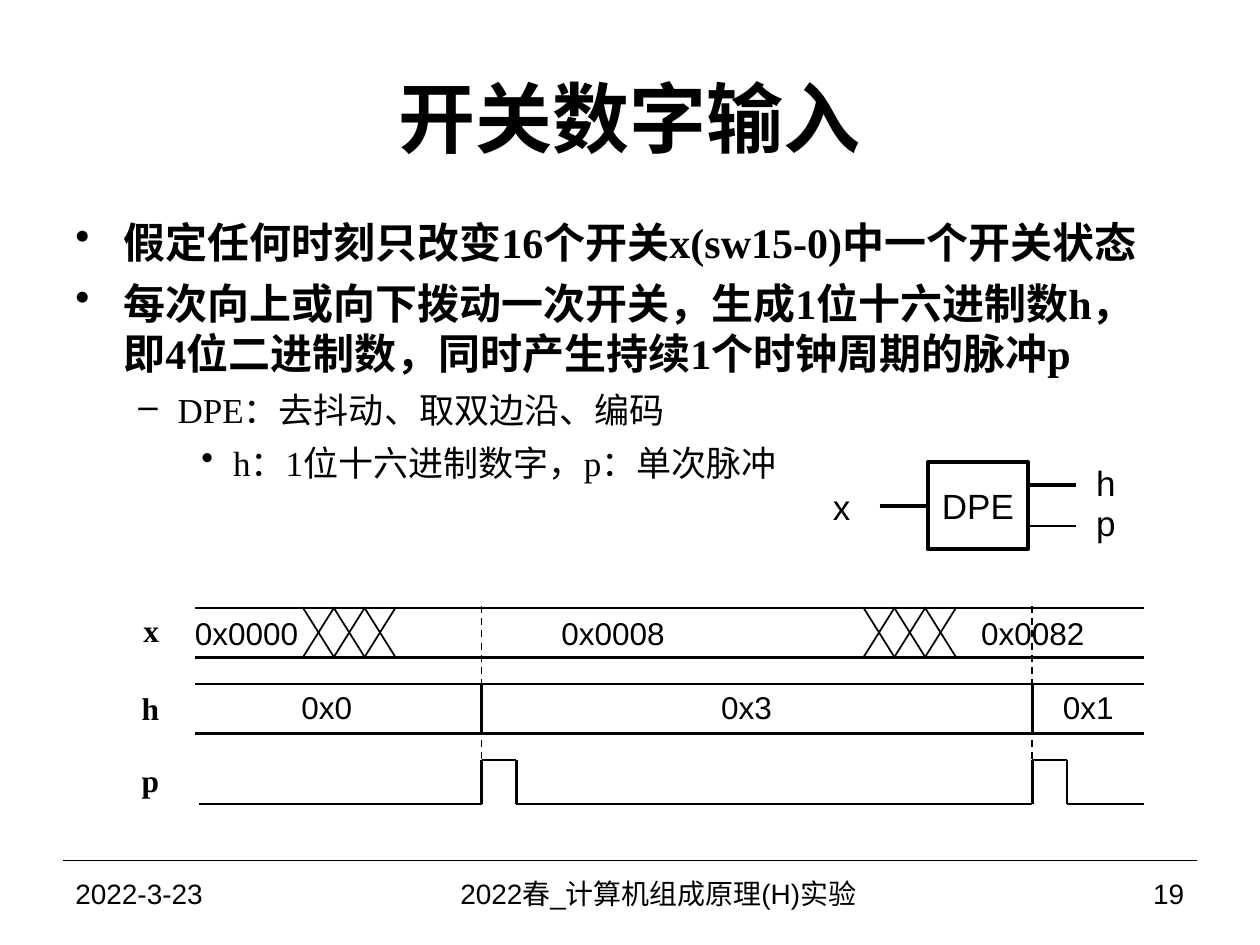
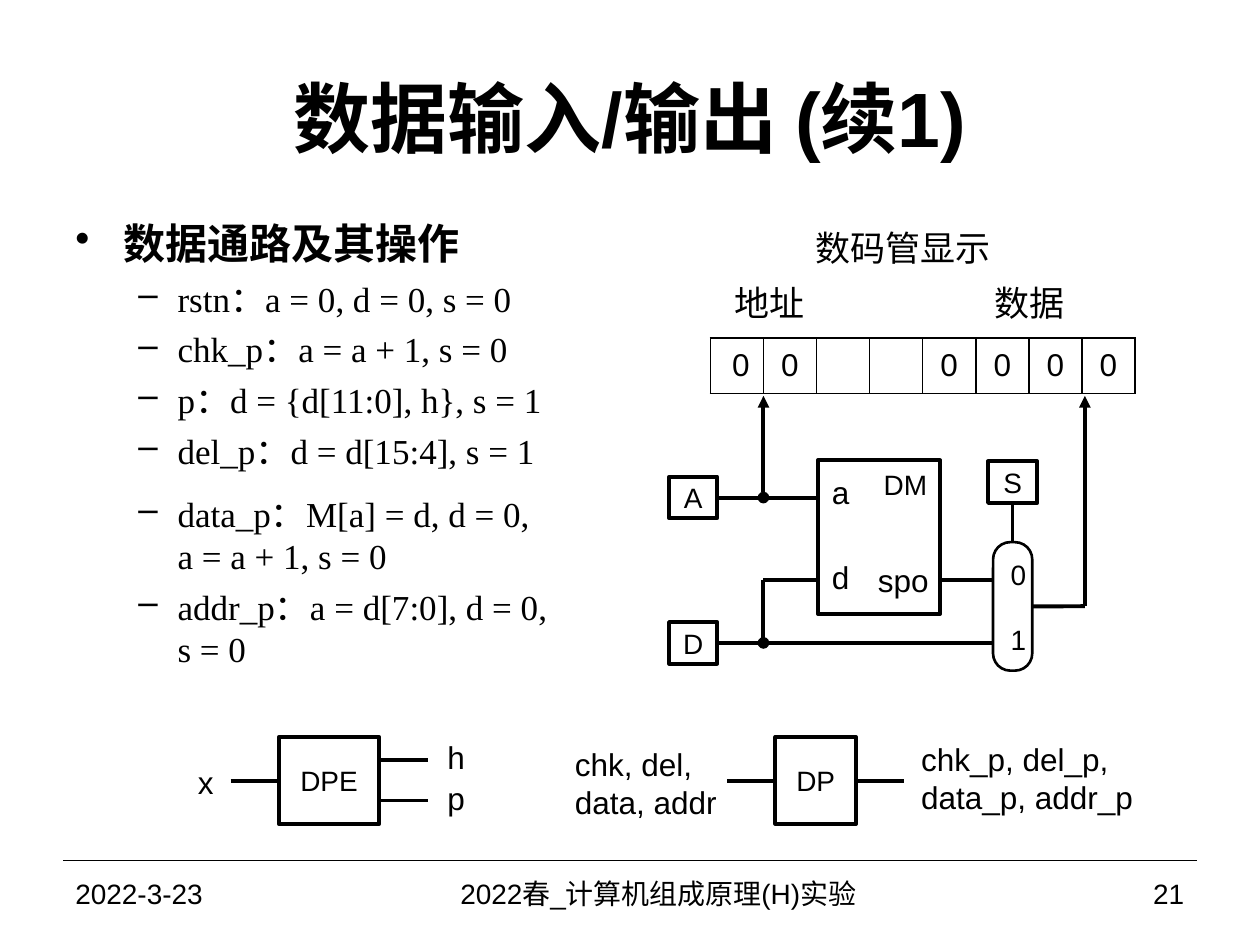
from dataclasses import dataclass
from itertools import pairwise

from lxml.etree import SubElement
from pptx import Presentation
from pptx.dml.color import RGBColor
from pptx.enum.dml import MSO_LINE
from pptx.enum.shapes import MSO_CONNECTOR, MSO_SHAPE
from pptx.enum.text import MSO_ANCHOR, PP_ALIGN
from pptx.oxml.ns import qn
from pptx.util import Cm, Pt

BLACK = RGBColor(0, 0, 0)
WHITE = RGBColor(255, 255, 255)
SANS = "Arial"
SERIF = "Times New Roman"
TOP, LEFT, BOTTOM, RIGHT = range(4)
THICK, MEDIUM, THIN, HAIRLINE = 2.25, 1.5, 1, 0.75
TITLE_ONLY = 5
DATE = "2022-3-23"
COURSE = "2022春_计算机组成原理(H)实验"
BULLETS = [("•", 0.97, 0.97, 24), ("–", 2.06, 0.79, 20), ("•", 3.18, 0.64, 20)]


def add_run(paragraph, text, size, font=SANS, bold=False):
    run = paragraph.add_run()
    run.text = text
    run.font.size = Pt(size)
    run.font.name = font
    run.font.bold = bold
    run.font.color.rgb = BLACK


def set_margins(frame, horizontal=0, vertical=0):
    frame.margin_left = frame.margin_right = Cm(horizontal)
    frame.margin_top = frame.margin_bottom = Cm(vertical)


@dataclass
class Region:
    slide: object
    left: float
    top: float

    def position(self, x, y):
        return Cm(self.left + x), Cm(self.top + y)

    def line(self, start, end, weight=THICK, dash=None, head=None, tail=None,
             source=None, target=None):
        connector = self.slide.shapes.add_connector(
            MSO_CONNECTOR.STRAIGHT, *self.position(*start), *self.position(*end))
        connector.line.color.rgb = BLACK
        connector.line.width = Pt(weight)
        if dash:
            connector.line.dash_style = dash
        properties = connector._element.spPr
        outline = properties.find(qn("a:ln"))
        for tag, kind in (("a:headEnd", head), ("a:tailEnd", tail)):
            if kind:
                SubElement(outline, qn(tag)).set("type", kind)
        SubElement(properties, qn("a:effectLst"))
        if source:
            connector.begin_connect(*source)
        if target:
            connector.end_connect(*target)

    def polyline(self, points, weight=THICK):
        for start, end in pairwise(points):
            self.line(start, end, weight)

    def label(self, text, x, middle, size, width=2.0, align=PP_ALIGN.LEFT,
              font=SANS, bold=False, height=1.0, wrap=False):
        shift = {PP_ALIGN.LEFT: 0, PP_ALIGN.CENTER: 0.5, PP_ALIGN.RIGHT: 1}[align]
        box = self.slide.shapes.add_textbox(
            *self.position(x - shift * width, middle - height / 2), Cm(width), Cm(height))
        frame = box.text_frame
        frame.word_wrap = True
        set_margins(frame)
        frame.vertical_anchor = MSO_ANCHOR.MIDDLE
        frame.paragraphs[0].alignment = align
        add_run(frame.paragraphs[0], text, size, font, bold)

    def block(self, x, y, width, height, text="", size=16, kind=MSO_SHAPE.RECTANGLE,
              weight=THICK):
        shape = self.slide.shapes.add_shape(
            kind, *self.position(x, y), Cm(width), Cm(height))
        shape.shadow.inherit = False
        shape.fill.solid()
        shape.fill.fore_color.rgb = WHITE
        shape.line.color.rgb = BLACK
        shape.line.width = Pt(weight)
        frame = shape.text_frame
        set_margins(frame)
        frame.vertical_anchor = MSO_ANCHOR.MIDDLE
        if text:
            frame.paragraphs[0].alignment = PP_ALIGN.CENTER
            add_run(frame.paragraphs[0], text, size)
        return shape


def add_title(slide, text):
    title = slide.shapes.title
    title.left, title.top, title.width, title.height = Cm(1.27), Cm(0.76), Cm(22.86), Cm(3.18)
    frame = title.text_frame
    frame.vertical_anchor = MSO_ANCHOR.MIDDLE
    frame.paragraphs[0].alignment = PP_ALIGN.CENTER
    add_run(frame.paragraphs[0], text, 44, bold=True)


def add_footer(slide, number):
    footer = Region(slide, 1.27, 17.35)
    footer.line((0, 0), (22.86, 0), HAIRLINE)
    middle = 0.66
    footer.label(DATE, 0.25, middle, 16, width=5.4)
    footer.label(COURSE, 12, middle, 16, width=11.8, align=PP_ALIGN.CENTER)
    footer.label(str(number), 22.6, middle, 16, width=3.9, align=PP_ALIGN.RIGHT)


def new_slide(presentation, title, number):
    slide = presentation.slides.add_slide(presentation.slide_layouts[TITLE_ONLY])
    add_title(slide, title)
    add_footer(slide, number)
    return slide


def add_bullets(slide, left, top, width, height, items):
    box = slide.shapes.add_textbox(Cm(left), Cm(top), Cm(width), Cm(height))
    frame = box.text_frame
    frame.word_wrap = True
    for index, (level, text, space) in enumerate(items):
        paragraph = frame.add_paragraph() if index else frame.paragraphs[0]
        symbol, margin, hanging, size = BULLETS[level]
        paragraph.level = level
        paragraph.space_before = Pt(space)
        properties = paragraph._p.get_or_add_pPr()
        properties.set("marL", str(Cm(margin)))
        properties.set("indent", str(-Cm(hanging)))
        SubElement(properties, qn("a:buChar")).set("char", symbol)
        add_run(paragraph, text, size, SERIF, bold=level == 0)


def add_edge_detector(slide, left, top, label_size, block_size, input_offset):
    region = Region(slide, left, top)
    wire, width, height = 0.97, 2.03, 1.75
    block = region.block(wire, 0, width, height, "DPE", block_size)
    region.line((0, height / 2), (wire, height / 2), target=(block, LEFT))
    region.label("x", -input_offset, 0.9, label_size, width=0.6)
    for name, y, weight in (("h", 0.46, THICK), ("p", 1.28, MEDIUM)):
        region.line((wire + width, y), (2 * wire + width, y), weight)
        region.label(name, 4.37, y - 0.06, label_size, width=0.6)


def add_pulse_block(slide, left, top):
    region = Region(slide, left, top)
    wire, width, height = 0.97, 1.63, 1.75
    middle, right = height / 2, wire + width
    block = region.block(wire, 0, width, height, "DP")
    region.line((0, middle), (wire, middle), target=(block, LEFT))
    region.line((right, middle), (right + wire, middle), source=(block, RIGHT))
    region.label("chk, del, data, addr", -3.07, 0.93, 18, width=3, height=1.55)
    region.label("chk_p, del_p, data_p, addr_p", 3.91, 0.83, 18, width=4.8, height=1.55)


def add_waveform(slide, left, top):
    region = Region(slide, left, top)
    width, pulse = 19.13, 0.7
    edges = (5.77, 16.87)
    high, low = 3.1, 3.99
    for y in (0.04, 1.04, 1.57, 2.57):
        region.line((0, y), (width, y), MEDIUM)
    trace = [(0.08, low)]
    for edge in edges:
        region.line((edge, 0), (edge, 3.91), THIN, MSO_LINE.DASH)
        region.line((edge, 1.57), (edge, 2.57), MEDIUM)
        trace += [(edge, low), (edge, high), (edge + pulse, high), (edge + pulse, low)]
    region.polyline(trace + [(width, low)], MEDIUM)
    for bounce in (2.16, 13.46):
        for step in range(3):
            x = bounce + 0.62 * step
            region.line((x, 0.02), (x + 0.64, 1.04), THIN)
            region.line((x, 1.04), (x + 0.64, 0.02), THIN)
    for signal, middle in (("x", 0.48), ("h", 2.06), ("p", 3.51)):
        region.label(signal, -0.73, middle, 18, width=1, align=PP_ALIGN.RIGHT,
                     font=SERIF, bold=True)
    rows = ((0.53, (("0x0000", 1.03), ("0x0008", 8.42), ("0x0082", 16.88))),
            (2.03, (("0x0", 2.65), ("0x3", 11.11), ("0x1", 18))))
    for middle, values in rows:
        for value, center in values:
            region.label(value, center, middle, 18, width=2.4, align=PP_ALIGN.CENTER)


def set_borders(cell):
    properties = cell._tc.get_or_add_tcPr()
    for index, side in enumerate(("lnL", "lnR", "lnT", "lnB")):
        border = properties.makeelement(qn(f"a:{side}"), {"w": str(Pt(THIN))})
        fill = SubElement(border, qn("a:solidFill"))
        SubElement(fill, qn("a:srgbClr")).set("val", str(BLACK))
        properties.insert(index, border)


def add_display(slide, left, top, digits):
    region = Region(slide, left, top)
    for caption, center, middle in (("数码管显示", 3.91, 0.56), ("地址", 1.21, 1.68),
                                    ("数据", 6.45, 1.68)):
        region.label(caption, center, middle, 20, width=4.5, align=PP_ALIGN.CENTER, font=SERIF)
    cell_width, height = 1.07, 1.12
    count = len(digits)
    table = slide.shapes.add_table(1, count, *region.position(0.02, 2.39),
                                   Cm(count * cell_width), Cm(height)).table
    table.first_row = table.horz_banding = False
    table.rows[0].height = Cm(height)
    for index, digit in enumerate(digits):
        table.columns[index].width = Cm(cell_width)
        cell = table.cell(0, index)
        set_margins(cell)
        cell.vertical_anchor = MSO_ANCHOR.MIDDLE
        cell.fill.solid()
        cell.fill.fore_color.rgb = WHITE
        set_borders(cell)
        if digit:
            cell.text_frame.paragraphs[0].alignment = PP_ALIGN.CENTER
            add_run(cell.text_frame.paragraphs[0], digit, 18)
    table.cell(0, 0).margin_left = Cm(0.16)


def add_multiplexer(region, x, y, width, height):
    shape = region.block(x, y, width, height, kind=MSO_SHAPE.ROUNDED_RECTANGLE, weight=MEDIUM)
    shape.adjustments[0] = 0.44
    frame = shape.text_frame
    frame.margin_left = Cm(0.23)
    for index, (text, space) in enumerate((("0", 6), ("1", 12))):
        paragraph = frame.add_paragraph() if index else frame.paragraphs[0]
        paragraph.alignment = PP_ALIGN.CENTER
        paragraph.space_before = Pt(space)
        paragraph.space_after = Pt(6)
        add_run(paragraph, text, 16)
    return shape


def add_datapath(slide, left, top):
    region = Region(slide, left, top)
    address_y, data_y, memory_y, output_y = 2.05, 4.98, 3.71, 4.24
    memory_left, memory_right, mux_left, output_x, tap = 3, 5.46, 6.53, 8.38, 1.9
    register_width, register_height = 0.97, 0.84
    address, data = (region.block(0, y - register_height / 2, register_width,
                                  register_height, name)
                     for name, y in (("A", address_y), ("D", data_y)))
    region.block(memory_left, 1.3, memory_right - memory_left, 3.1)
    select = region.block(6.43, 1.32, 0.99, register_height, "S")
    mux = add_multiplexer(region, mux_left, 2.95, 0.79, 2.59)

    region.line((register_width, address_y), (memory_left, address_y), source=(address, RIGHT))
    region.line((register_width, data_y), (mux_left, data_y), source=(data, RIGHT))
    region.line((tap, address_y), (tap, 0), head="oval", tail="triangle")
    region.line((tap, data_y), (tap, memory_y), head="oval")
    region.line((tap, memory_y), (memory_left, memory_y))
    region.line((memory_right, memory_y), (mux_left, memory_y))
    region.line((6.93, 2.16), (6.93, 2.95), MEDIUM, source=(select, BOTTOM), target=(mux, TOP))
    region.line((7.32, output_y), (output_x, output_y), source=(mux, RIGHT))
    region.line((output_x, output_y), (output_x, 0), tail="triangle")

    region.label("a", 3.28, 1.93, 18, width=0.5)
    region.label("d", 3.28, 3.66, 18, width=0.5)
    region.label("DM", 5.2, 1.78, 16, width=1.3, align=PP_ALIGN.RIGHT)
    region.label("spo", 5.23, 3.72, 18, width=1.3, align=PP_ALIGN.RIGHT)


def build_switch_slide(presentation):
    slide = new_slide(presentation, "开关数字输入", 19)
    add_bullets(slide, 1.27, 4.24, 22.5, 6.3, [
        (0, "假定任何时刻只改变16个开关x(sw15-0)中一个开关状态", 6),
        (0, "每次向上或向下拨动一次开关，生成1位十六进制数h，即4位二进制数，"
            "同时产生持续1个时钟周期的脉冲p", 6),
        (1, "DPE：去抖动、取双边沿、编码", 6),
        (2, "h：1位十六进制数字，p：单次脉冲", 6),
    ])
    add_edge_detector(slide, 17.73, 9.32, 20, 20, 0.94)
    add_waveform(slide, 3.94, 12.22)


def build_datapath_slide(presentation):
    slide = new_slide(presentation, "数据输入/输出 (续1)", 21)
    add_bullets(slide, 1.27, 4.27, 10.11, 10.06, [
        (0, "数据通路及其操作", 5),
        (1, "rstn：a = 0, d = 0, s = 0", 5),
        (1, "chk_p：a = a + 1, s = 0", 5),
        (1, "p：d = {d[11:0], h}, s = 1", 5),
        (1, "del_p：d = d[15:4], s = 1", 5),
        (1, "data_p：M[a] = d, d = 0, a = a + 1, s = 0", 12),
        (1, "addr_p：a = d[7:0], d = 0, s = 0", 5),
    ])
    add_display(slide, 14.3, 4.42, ["0", "0", "", "", "0", "0", "0", "0"])
    add_datapath(slide, 13.49, 7.98)
    add_edge_detector(slide, 4.65, 14.86, 18, 16, 0.66)
    add_pulse_block(slide, 14.66, 14.86)


def main():
    presentation = Presentation()
    presentation.slide_width, presentation.slide_height = Cm(25.4), Cm(19.05)
    build_switch_slide(presentation)
    build_datapath_slide(presentation)
    presentation.save("out.pptx")


if __name__ == "__main__":
    main()
